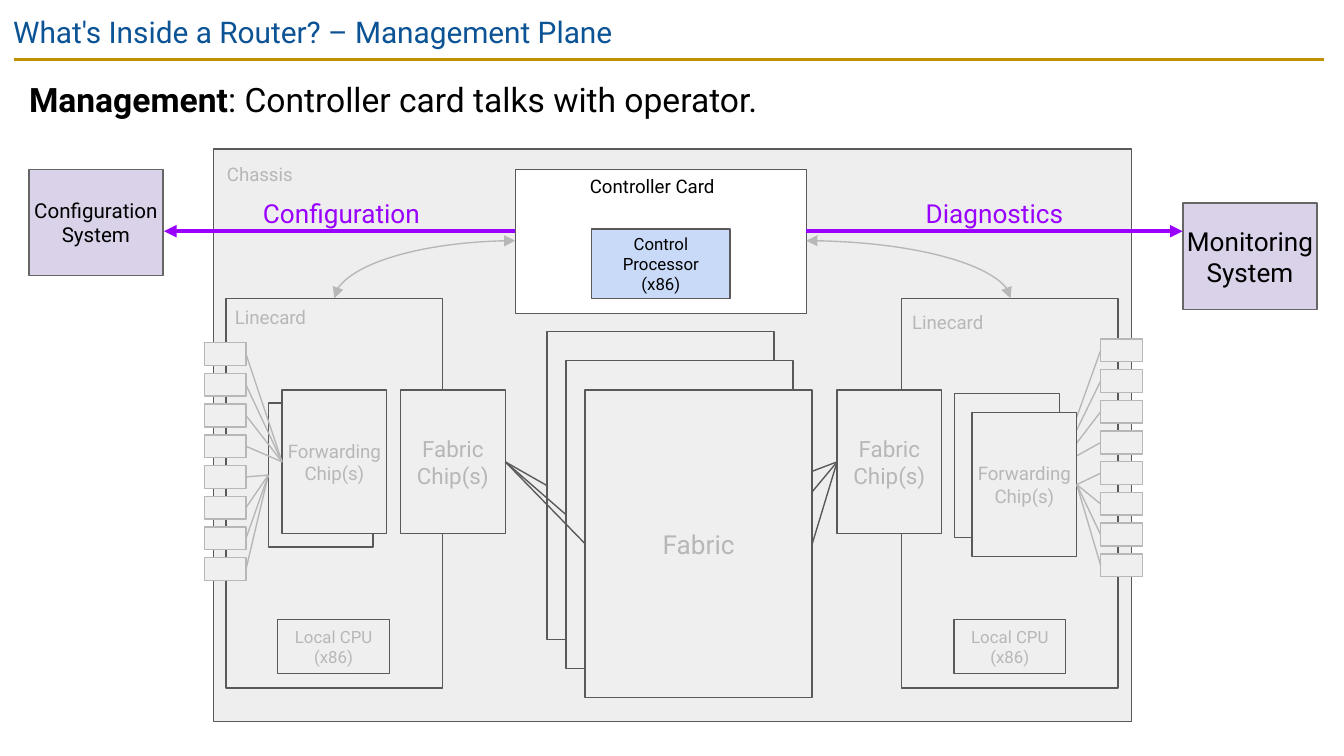
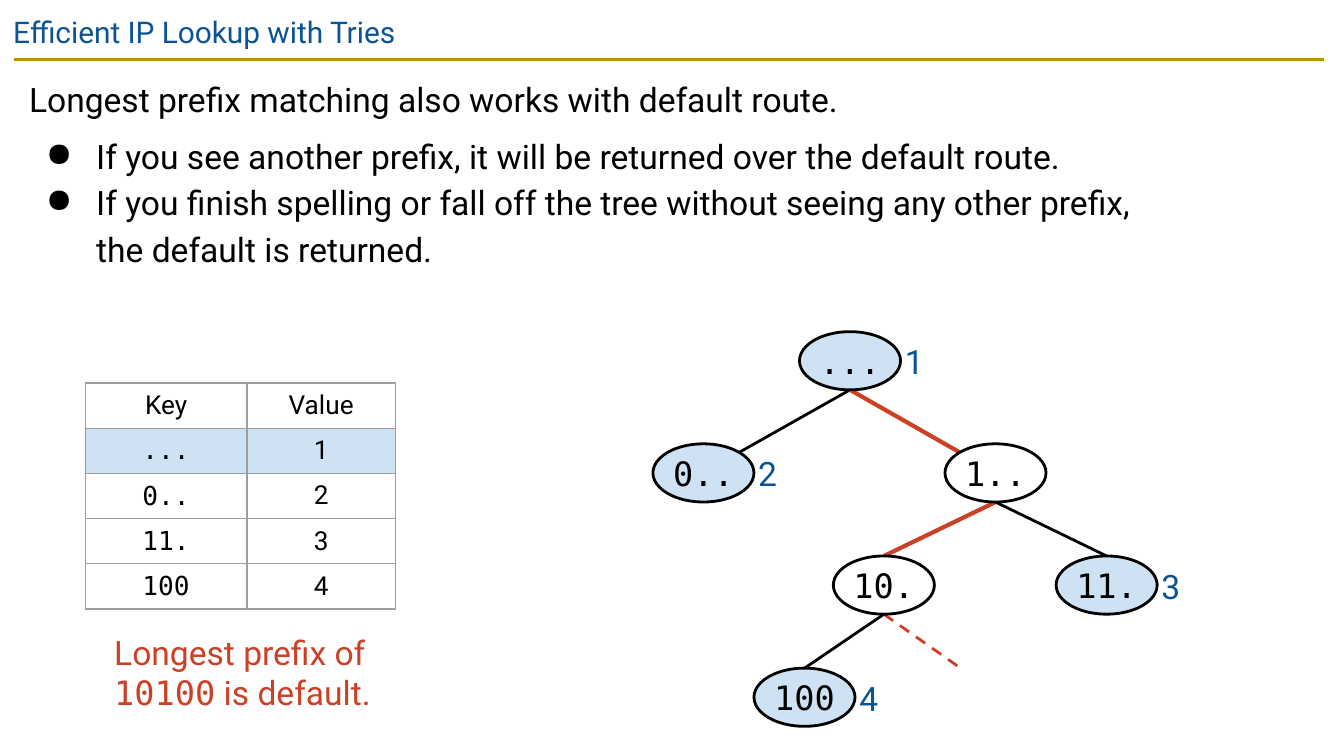
from lxml import etree
from pptx import Presentation
from pptx import util as u
from pptx.dml import color as dml_color
from pptx.enum import dml, shapes, text
from pptx.oxml import ns

COLORS = {
    "title": "0B5394", "rule": "BF9000", "ink": "000000", "white": "FFFFFF",
    "chassis": "EEEEEE", "card": "EFEFEF", "outline": "595959", "faded": "B7B7B7",
    "processor": "C9DAF8", "system": "D9D2E9", "system_edge": "666666",
    "flow": "9900FF", "stored": "CFE2F3", "match": "CC4125", "grid": "9E9E9E",
}
SANS, MONO = "Roboto", "DejaVu Sans Mono"
INSET = 0.25
CENTER = text.PP_ALIGN.CENTER


def rgb(name):
    return dml_color.RGBColor.from_string(COLORS[name])


def add_xml(parent, tag, **attributes):
    return etree.SubElement(parent, ns.qn(tag), attributes)


class Deck:
    def __init__(self):
        self.prs = Presentation()
        self.prs.slide_width, self.prs.slide_height = u.Cm(25.4), u.Cm(14.29)
        self.slide = None

    def new_slide(self, title):
        self.slide = self.prs.slides.add_slide(self.prs.slide_layouts[6])
        self.line((0.26, 1.12), (25.02, 1.12), "rule", 1.5)
        self.label((0, 0, 25.4, 1.09), title, 16, "title")

    def set_text(self, paragraph, content, size, color, font=SANS, align=None):
        """Content is a string, or a list of (text, font name, bold) runs."""
        if align is not None:
            paragraph.alignment = align
        paragraph.font.size = u.Pt(size)
        paragraph.font.color.rgb = rgb(color)
        if isinstance(content, str):
            paragraph.text = content
            paragraph.font.name = font
            return
        for words, name, bold in content:
            run = paragraph.add_run()
            run.text = words
            run.font.name = name
            run.font.bold = bold

    def frame(self, shape, inset):
        frame = shape.text_frame
        frame.word_wrap = True
        frame.margin_left = frame.margin_right = u.Cm(inset)
        frame.margin_top = frame.margin_bottom = u.Cm(inset)
        return frame

    def label(self, box, content, size, color, inset=INSET, align=None):
        holder = self.slide.shapes.add_textbox(*map(u.Cm, box))
        frame = self.frame(holder, inset)
        self.set_text(frame.paragraphs[0], content, size, color, align=align)

    def body(self, height, lead, bullets=()):
        holder = self.slide.shapes.add_textbox(*map(u.Cm, (0.3, 1.12, 24.74, height)))
        frame = self.frame(holder, INSET)
        for i, content in enumerate([lead, *bullets]):
            paragraph = frame.paragraphs[0] if i == 0 else frame.add_paragraph()
            paragraph.line_spacing = 1.15
            if i == 1:
                paragraph.space_before = u.Pt(6)
            if i:
                props = paragraph._p.get_or_add_pPr()
                props.set("marL", str(u.Cm(1.27)))
                props.set("indent", str(u.Cm(-0.95)))
                add_xml(add_xml(props, "a:buClr"), "a:srgbClr", val=COLORS["ink"])
                add_xml(props, "a:buChar", char="●")
            self.set_text(paragraph, content, 18, "ink")

    def block(self, box, fill, edge="outline", content=None, size=10, color="faded",
              inset=INSET, width=0.75, font=SANS, kind=shapes.MSO_SHAPE.RECTANGLE):
        shape = self.slide.shapes.add_shape(kind, *map(u.Cm, box))
        shape.shadow.inherit = False
        shape.fill.solid()
        shape.fill.fore_color.rgb = rgb(fill)
        shape.line.color.rgb = rgb(edge)
        shape.line.width = u.Pt(width)
        if content:
            frame = self.frame(shape, inset)
            frame.vertical_anchor = text.MSO_ANCHOR.MIDDLE
            self.set_text(frame.paragraphs[0], content, size, color, font, CENTER)

    def line(self, start, end, color, width=0.75, arrows=(), dashed=False, curved=False):
        kind = shapes.MSO_CONNECTOR.CURVE if curved else shapes.MSO_CONNECTOR.STRAIGHT
        link = self.slide.shapes.add_connector(kind, *map(u.Cm, (*start, *end)))
        link.line.color.rgb = rgb(color)
        link.line.width = u.Pt(width)
        if dashed:
            link.line.dash_style = dml.MSO_LINE.DASH
        props = link._element.spPr
        if curved:
            props.find(ns.qn("a:prstGeom")).set("prst", "curvedConnector2")
        for arrow in arrows:
            add_xml(props.find(ns.qn("a:ln")), arrow, type="triangle")
        add_xml(props, "a:effectLst")

    def table(self, left, top, widths, row_height, rows, marked):
        grid = self.slide.shapes.add_table(
            len(rows), len(widths), u.Cm(left), u.Cm(top),
            u.Cm(sum(widths)), u.Cm(row_height * len(rows))).table
        grid.first_row = grid.horz_banding = False
        for column, width in zip(grid.columns, widths):
            column.width = u.Cm(width)
        for r, row in enumerate(rows):
            grid.rows[r].height = u.Cm(row_height)
            for c, content in enumerate(row):
                cell = grid.cell(r, c)
                cell.vertical_anchor = text.MSO_ANCHOR.MIDDLE
                cell.margin_left = cell.margin_right = u.Cm(0.13)
                cell.margin_top = cell.margin_bottom = u.Cm(0.13)
                for side in ("a:lnL", "a:lnR", "a:lnT", "a:lnB"):
                    border = add_xml(cell._tc.get_or_add_tcPr(), side, w=str(u.Pt(0.75)))
                    add_xml(add_xml(border, "a:solidFill"), "a:srgbClr", val=COLORS["grid"])
                if r == marked:
                    cell.fill.solid()
                    cell.fill.fore_color.rgb = rgb("stored")
                else:
                    cell.fill.background()
                font = MONO if r and c == 0 else SANS
                self.set_text(cell.text_frame.paragraphs[0], content, 14, "ink", font, CENTER)


def linecard(deck, left, name_at, ports_at, port_edge, chips, fabric_chip, cpu):
    """Chips are (left, top, link x offset, first port), back one first."""
    pitch, port_w, port_h = 0.58, 0.79, 0.43
    chip_w, chip_h = 1.98, 2.72
    deck.block((left, 5.64, 4.09, 7.37), "card")
    port_x, port_y = ports_at
    for i in range(8):
        deck.block((port_x, port_y + i * pitch, port_w, port_h), "card", "faded")
    deck.label((*name_at, 2.44, 0.94), "Linecard", 10, "faded")

    # Forwarding chips, each linked to four ports
    for (x, y, link_dx, first), name in zip(chips, (None, "Forwarding Chip(s)")):
        deck.block((x, y, chip_w, chip_h), "card", content=name, inset=0)
        for i in range(first, first + 4):
            deck.line((port_edge, port_y + port_h / 2 + i * pitch),
                      (x + link_dx, y + chip_h / 2), "faded")

    deck.block((fabric_chip, 7.37, chip_w, chip_h), "card", content="Fabric Chip(s)", size=12)
    deck.block((cpu, 11.71, 2.11, 1.02), "card", content="Local CPU (x86)", size=9)


def management_slide(deck):
    deck.new_slide("What's Inside a Router? – Management Plane")
    deck.body(1.45, [("Management", SANS, True),
                     (": Controller card talks with operator.", SANS, False)])

    # Chassis and linecards
    deck.block((4.04, 2.82, 17.35, 10.82), "chassis")
    deck.label((4.04, 2.87, 3.63, 0.94), "Chassis", 10, "faded")
    linecard(deck, 4.27, (4.19, 5.56), (3.86, 6.48), 4.65,
             [(5.07, 7.62, 0, 4), (5.33, 7.37, 0, 0)], 7.57, 5.25)
    linecard(deck, 17.04, (16.99, 5.66), (20.8, 6.41), 20.8,
             [(18.04, 7.44, 1.98, 0), (18.37, 7.8, 1.98, 4)], 15.82, 18.03)

    # Fabric sheets and their links to the fabric chips
    sheet_w, sheet_h = 4.29, 5.82
    sheets = [(10.34 + 0.36 * i, 6.27 + 0.55 * i) for i in range(3)]
    for sheet in sheets[:2]:
        deck.block((*sheet, sheet_w, sheet_h), "card")
    for x, y in sheets:
        middle = y + sheet_h / 2
        deck.line((9.55, 8.73), (x, middle), "outline")
        deck.line((x + sheet_w, middle), (15.82, 8.73), "outline")
    deck.block((*sheets[2], sheet_w, sheet_h), "card", content="Fabric", size=14)

    # Controller card
    card_left, card_right = 9.74, 15.24
    deck.block((card_left, 3.2, card_right - card_left, 2.73), "white")
    deck.block((11.18, 4.33, 2.62, 1.32), "processor",
               content="Control Processor (x86)", size=9, color="ink")
    deck.label((10.9, 3.1, 3.63, 0.94), "Controller Card", 10, "ink")
    for edge, linecard_x in ((card_left, 6.32), (card_right, 19.1)):
        deck.line((edge, 4.55), (linecard_x, 5.64), "faded",
                  arrows=("a:headEnd", "a:tailEnd"), curved=True)

    # Operator systems: box, size, flow label, card edge, arrow tip
    systems = [
        ("Configuration System", 0.55, 3.2, 11, "Configuration", 3.18, 6.55, card_left, 3.1),
        ("Monitoring System", 22.36, 3.84, 14, "Diagnostics", 15.24, 7.11, card_right, 22.35),
    ]
    for name, x, y, size, flow, flow_x, flow_w, edge, tip in systems:
        deck.block((x, y, 2.53, 2.01), "system", "system_edge", name, size, "ink", inset=0)
        deck.line((edge, 4.37), (tip, 4.37), "flow", 2.25, arrows=("a:tailEnd",))
        deck.label((flow_x, 3.73, flow_w, 0.61), flow, 14, "flow", inset=0, align=CENTER)


def trie_slide(deck):
    deck.new_slide("Efficient IP Lookup with Tries")
    deck.body(4.57, "Longest prefix matching also works with default route.", [
        "If you see another prefix, it will be returned over the default route.",
        "If you finish spelling or fall off the tree without seeing any other prefix,\n"
        "the default is returned.",
    ])

    # Key and value table
    entries = {"...": "1", "0..": "2", "11.": "3", "100": "4"}
    deck.table(1.61, 7.24, (3.06, 2.8), 0.85, [("Key", "Value"), *entries.items()], marked=1)
    deck.label((2.16, 11.94, 5.13, 1.55),
               [("Longest prefix of ", SANS, None), ("10100", MONO, None),
                (" is default.", SANS, None)], 18, "match", inset=0)

    # Trie: left edge and level of each node
    node_w, node_h = 1.91, 1.1
    places = {"...": (15.11, 0), "0..": (12.34, 1), "1..": (17.86, 1),
              "10.": (15.75, 2), "11.": (19.96, 2), "100": (14.25, 3)}
    nodes = {key: (x, 6.27 + 2.12 * level) for key, (x, level) in places.items()}

    def bottom(key):
        x, y = nodes[key]
        return x + node_w / 2, y + node_h

    def entry(key, slant):
        """Point on the upper rim: -1 left diagonal, 0 top, 1 right diagonal."""
        x, y = nodes[key]
        drop = 0.15 * node_h if slant else 0
        return x + node_w / 2 + slant * 0.35 * node_w, y + drop

    for parent, child, slant, on_route in (
            ("...", "0..", 1, False), ("...", "1..", -1, True), ("1..", "10.", 0, True),
            ("1..", "11.", 0, False), ("10.", "100", 0, False)):
        color, width = ("match", 2.25) if on_route else ("ink", 1.5)
        deck.line(bottom(parent), entry(child, slant), color, width)
    deck.line(bottom("10."), (18.14, 12.62), "match", 1.5, dashed=True)

    for key, (x, y) in nodes.items():
        deck.block((x, y, node_w, node_h), "stored" if key in entries else "white", "ink",
                   key, 18, "ink", 0, 1.5, MONO, shapes.MSO_SHAPE.OVAL)
        if key in entries:
            deck.label((x + node_w, y + 0.1, 0.56, 0.91), entries[key], 18, "title", inset=0.08)


def main():
    deck = Deck()
    management_slide(deck)
    trie_slide(deck)
    deck.prs.save("out.pptx")


if __name__ == "__main__":
    main()
